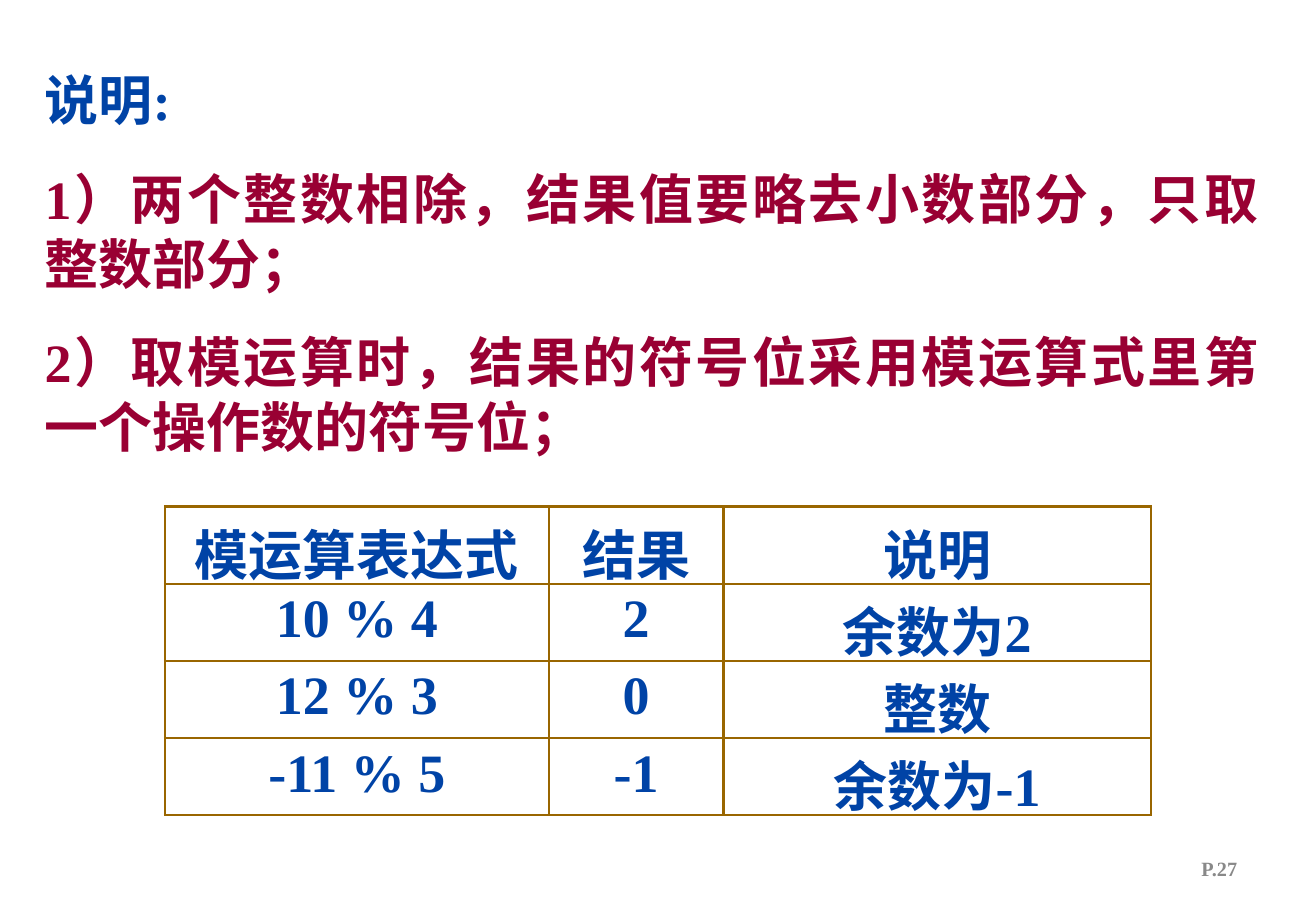
from dataclasses import dataclass

from lxml import etree
from pptx import Presentation
from pptx.dml.color import RGBColor
from pptx.enum.text import MSO_ANCHOR, MSO_AUTO_SIZE, PP_ALIGN
from pptx.oxml.ns import qn
from pptx.util import Pt

CENTER, JUSTIFY, RIGHT = PP_ALIGN.CENTER, PP_ALIGN.JUSTIFY, PP_ALIGN.RIGHT
TOP, MIDDLE = MSO_ANCHOR.TOP, MSO_ANCHOR.MIDDLE
FIT_SHAPE, NO_FIT = MSO_AUTO_SIZE.SHAPE_TO_FIT_TEXT, MSO_AUTO_SIZE.NONE
FONT = "Times New Roman"
BLUE, RED, GREY, BROWN = "0043A6", "990033", "898989", "996600"
BORDER_WIDTH = 1.47


@dataclass
class Line:
    text: str
    color: str = BLUE
    size: float = 32
    align: PP_ALIGN = JUSTIFY
    before: float = 0


@dataclass
class Box:
    left: float
    top: float
    width: float
    height: float
    lines: list[Line]
    anchor: MSO_ANCHOR = TOP
    fit: MSO_AUTO_SIZE = NO_FIT


BOXES = [
    Box(558.72, 500.4, 182.16, 28.8, [Line("P.27", GREY, 12, RIGHT)], MIDDLE),
    Box(19.44, 36, 734.4, 239.76, [
        Line("说明:"),
        Line("1）两个整数相除，结果值要略去小数部分，只取整数部分；", RED, before=20),
        Line("2）取模运算时，结果的符号位采用模运算式里第一个操作数的符号位；", RED, before=20),
    ], fit=FIT_SHAPE),
]
COLUMN_WIDTHS = [227.52, 103.68, 253.44]
ROW_HEIGHT = 45.72
ROWS = [
    ["模运算表达式", "结果", "说明"],
    ["10 % 4", "2", "余数为2"],
    ["12 % 3", "0", "整数"],
    ["-11 % 5", "-1", "余数为-1"],
]


def rgb(color: str) -> RGBColor:
    return RGBColor.from_string(color)


def write(p, text: str, *, color: str, size: float, align: PP_ALIGN, before: float = 0) -> None:
    p.alignment = align
    p.space_before = Pt(before)
    r = p.add_run()
    r.text = text
    r.font.name = FONT
    r.font.size = Pt(size)
    r.font.bold = True
    r.font.color.rgb = rgb(color)


def add_box(s, box: Box) -> None:
    sp = s.shapes.add_textbox(Pt(box.left), Pt(box.top), Pt(box.width), Pt(box.height))
    tf = sp.text_frame
    tf.word_wrap = True
    tf.auto_size = box.fit
    tf.vertical_anchor = box.anchor
    for i, line in enumerate(box.lines):
        p = tf.add_paragraph() if i else tf.paragraphs[0]
        write(p, line.text, color=line.color, size=line.size, align=line.align, before=line.before)


def add_borders(cell) -> None:
    tc_pr = cell._tc.get_or_add_tcPr()
    for i, side in enumerate(("lnL", "lnR", "lnT", "lnB")):
        ln = etree.Element(qn(f"a:{side}"), w=str(Pt(BORDER_WIDTH)))
        fill = etree.SubElement(ln, qn("a:solidFill"))
        etree.SubElement(fill, qn("a:srgbClr"), val=BROWN)
        tc_pr.insert(i, ln)


def add_modulo_table(s, left: float, top: float) -> None:
    frame = s.shapes.add_table(len(ROWS), len(COLUMN_WIDTHS), Pt(left), Pt(top),
                               Pt(sum(COLUMN_WIDTHS)), Pt(ROW_HEIGHT * len(ROWS)))
    table = frame.table
    table.first_row = False
    table.horz_banding = False
    for column, width in zip(table.columns, COLUMN_WIDTHS):
        column.width = Pt(width)
    for row, texts in zip(table.rows, ROWS):
        row.height = Pt(ROW_HEIGHT)
        for cell, text in zip(row.cells, texts):
            cell.fill.background()
            cell.margin_left = cell.margin_right = Pt(7.92)
            cell.margin_top = cell.margin_bottom = Pt(3.6)
            write(cell.text_frame.paragraphs[0], text, color=BLUE, size=32, align=CENTER)
            add_borders(cell)


def main() -> None:
    prs = Presentation()
    prs.slide_width, prs.slide_height = Pt(780.48), Pt(540)
    s = prs.slides.add_slide(prs.slide_layouts[6])
    for box in BOXES:
        add_box(s, box)
    add_modulo_table(s, 97.92, 300.24)
    prs.save("out.pptx")


if __name__ == "__main__":
    main()
